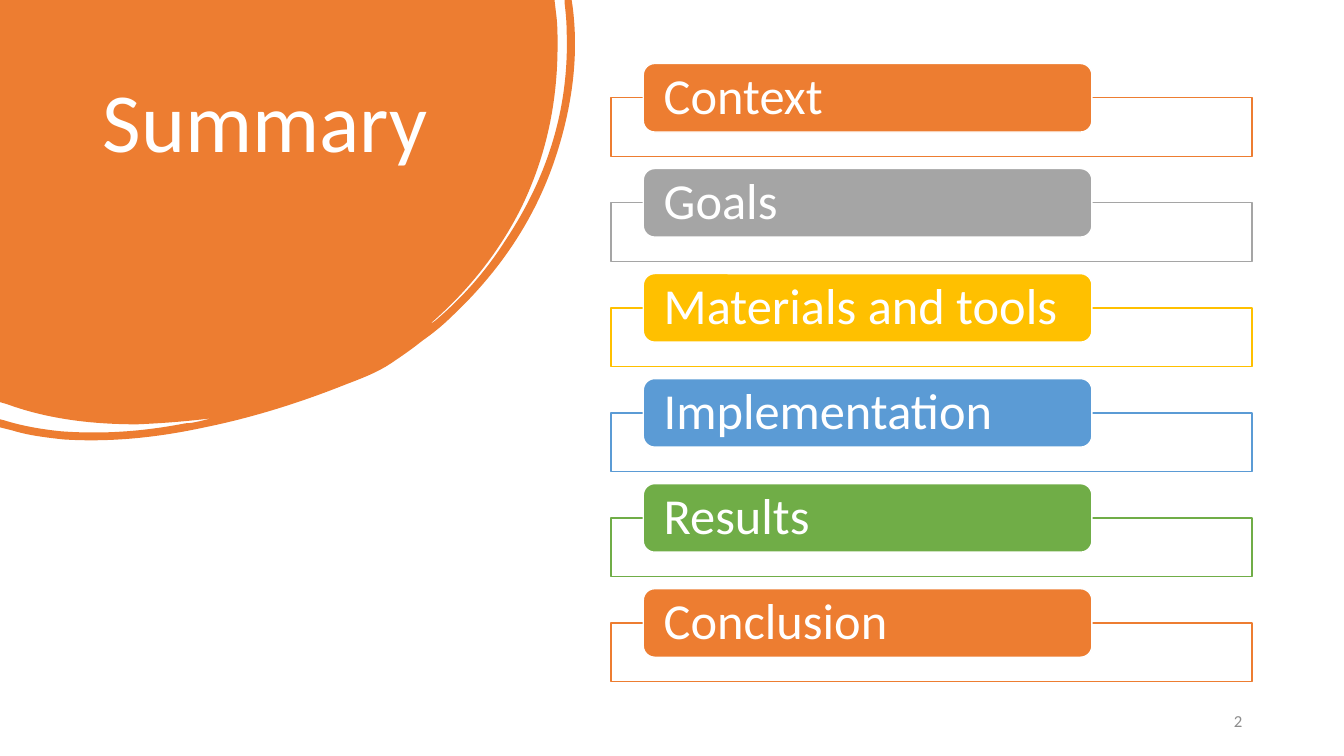
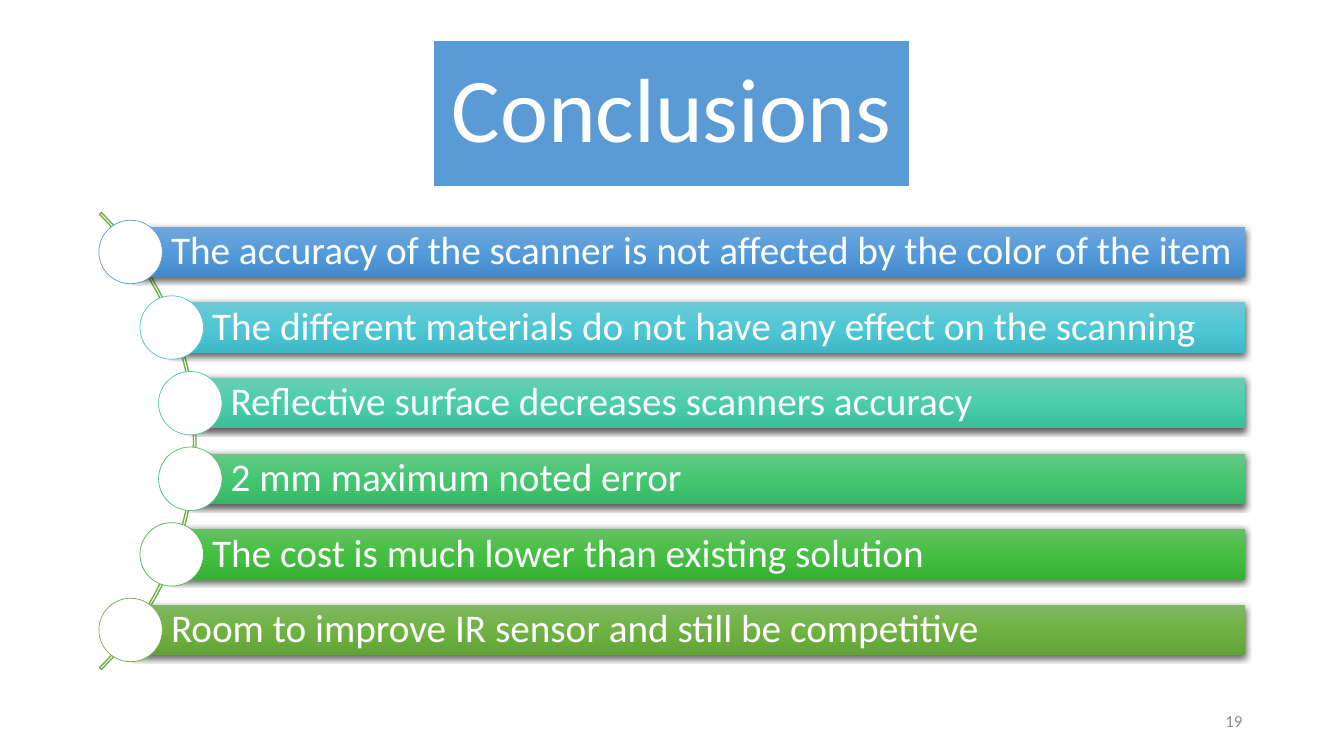
from copy import deepcopy
from math import sqrt
from lxml import etree
from pptx import Presentation
from pptx import util as u
from pptx.dml import color
from pptx.enum import shapes, text
from pptx.oxml import ns

WIDTH, HEIGHT = 13.33, 7.5
FONT = "Calibri"
WHITE, GREY = "FFFFFF", "8C8C8C"
ORANGE, SILVER, GOLD, BLUE, GREEN = "ED7D31", "A5A5A5", "FFC000", "5B9BD5", "70AD47"
LEFT, CENTER, RIGHT = text.PP_ALIGN.LEFT, text.PP_ALIGN.CENTER, text.PP_ALIGN.RIGHT
TOP, MIDDLE = text.MSO_ANCHOR.TOP, text.MSO_ANCHOR.MIDDLE
RECT, ROUND = shapes.MSO_SHAPE.RECTANGLE, shapes.MSO_SHAPE.ROUNDED_RECTANGLE
OVAL, ARC = shapes.MSO_SHAPE.OVAL, shapes.MSO_SHAPE.BLOCK_ARC

AGENDA = [
    ("Context", ORANGE),
    ("Goals", SILVER),
    ("Materials and tools", GOLD),
    ("Implementation", BLUE),
    ("Results", GREEN),
    ("Conclusion", ORANGE),
]
FINDINGS = [
    ("The accuracy of the scanner is not affected by the color of the item",
     ("71A6DB", "559BDB", "448ACA"), BLUE),
    ("The different materials do not have any effect on the scanning",
     ("6DCAD5", "4FC7D5", "3FB7C4"), "55C3CF"),
    ("Reflective surface decreases scanners accuracy",
     ("69CFB1", "4ACEAA", "3BBE9A"), "50C8A7"),
    ("2 mm maximum noted error",
     ("66C885", "45C772", "37B764"), "4BC174"),
    ("The cost is much lower than existing solution",
     ("64C162", "44BF41", "37B034"), "4ABA46"),
    ("Room to improve IR sensor and still be competitive",
     ("81B861", "6FB242", "62A336"), GREEN),
]
BRUSH = [
    (0, 0), (5.5, 0), (5.52, 0.17),
    (5.53, 0.26, 5.53, 0.36, 5.53, 0.45),
    (5.53, 1.01, 5.42, 1.54, 5.18, 2.04),
    (4.96, 2.49, 4.65, 2.88, 4.27, 3.21),
    (4.29, 3.21, 4.3, 3.19, 4.32, 3.18),
    (4.59, 2.95, 4.82, 2.69, 5.01, 2.39),
    (5.43, 1.76, 5.65, 1.07, 5.62, 0.3),
    (5.62, 0.21, 5.61, 0.12, 5.6, 0.03),
    (5.6, 0), (5.67, 0), (5.68, 0.07),
    (5.74, 0.54, 5.68, 1.02, 5.53, 1.5),
    (5.33, 2.14, 4.97, 2.68, 4.48, 3.14),
    (4.39, 3.23, 4.29, 3.31, 4.19, 3.38),
    (4.09, 3.46, 3.99, 3.53, 3.87, 3.61),
    (3.75, 3.69, 3.6, 3.75, 3.44, 3.81),
    (2.99, 3.99, 2.52, 4.14, 2.03, 4.24),
    (1.57, 4.34, 1.1, 4.39, 0.63, 4.36),
    (0.45, 4.34, 0.28, 4.32, 0.12, 4.27),
    (0, 4.24), (0, 4.16), (0.04, 4.17),
    (0.23, 4.23, 0.42, 4.26, 0.61, 4.28),
    (1.03, 4.31, 1.43, 4.28, 1.84, 4.2),
    (1.89, 4.2, 1.93, 4.19, 1.98, 4.18),
    (2.02, 4.17, 2.06, 4.16, 2.1, 4.15),
    (1.86, 4.18, 1.61, 4.2, 1.36, 4.21),
    (0.92, 4.21, 0.48, 4.16, 0.07, 4.01),
    (0, 3.99),
]


def rgb(value):
    return color.RGBColor.from_string(value)


def inches(*lengths):
    return [u.Inches(length) for length in lengths]


def write(box, words, size, ink=WHITE, align=LEFT, anchor=MIDDLE,
          insets=(0.1, 0.05, 0.1, 0.05), spacing=0.9):
    frame = box.text_frame
    frame.word_wrap = True
    frame.vertical_anchor = anchor
    (frame.margin_left, frame.margin_top,
     frame.margin_right, frame.margin_bottom) = inches(*insets)
    para = frame.paragraphs[0]
    para.alignment = align
    para.line_spacing = spacing
    span = para.add_run()
    span.text = words
    span.font.name = FONT
    span.font.size = u.Pt(size)
    span.font.color.rgb = rgb(ink)


def paint(shape, fill=None, line=None, weight=1):
    shape.shadow.inherit = False
    if fill:
        shape.fill.solid()
        shape.fill.fore_color.rgb = rgb(fill)
    else:
        shape.fill.background()
    if line:
        shape.line.color.rgb = rgb(line)
        shape.line.width = u.Pt(weight)
    else:
        shape.line.fill.background()
    return shape


def add(page, kind, place, fill=None, line=None, weight=1):
    return paint(page.shapes.add_shape(kind, *inches(*place)), fill, line, weight)


def shade(shape, tones):
    shape.fill.gradient()
    shape.fill.gradient_angle = 270
    stops = shape._element.spPr.find(".//" + ns.qn("a:gsLst"))
    stops.insert(1, deepcopy(stops[0]))
    for index, (stop, tone) in enumerate(zip(shape.fill.gradient_stops, tones)):
        stop.position = index / (len(tones) - 1)
        stop.color.rgb = rgb(tone)


def cast_shadow(shape):
    effects = shape._element.spPr.find(ns.qn("a:effectLst"))
    shadow = etree.SubElement(effects, ns.qn("a:outerShdw"), blurRad=str(u.Pt(4.5)),
                              dist=str(u.Pt(1.5)), dir="5400000", algn="ctr", rotWithShape="0")
    tone = etree.SubElement(shadow, ns.qn("a:srgbClr"), val="000000")
    etree.SubElement(tone, ns.qn("a:alpha"), val="63000")


def draw_outline(page, segments, fill, units=1000):
    scaled = [[round(length * units) for length in segment] for segment in segments]
    builder = page.shapes.build_freeform(*scaled[0], scale=u.Inches(1) / units)
    builder.add_line_segments([segment[-2:] for segment in scaled[1:]], close=True)
    shape = paint(builder.convert_to_shape(), fill)
    outline = shape._element.spPr.find(".//" + ns.qn("a:pathLst"))[0]
    for step, segment in zip(list(outline), scaled):
        if len(segment) == 6:
            curve = etree.Element(ns.qn("a:cubicBezTo"))
            for x, y in zip(segment[::2], segment[1::2]):
                etree.SubElement(curve, ns.qn("a:pt"), x=str(x), y=str(y))
            outline.replace(step, curve)


def new_page(deck, number):
    page = deck.slides.add_slide(deck.slide_layouts[6])
    box = page.shapes.add_textbox(*inches(9.42, 6.95, 3, 0.4))
    write(box, number, 12, GREY, RIGHT, spacing=1)
    return page


def summary(deck):
    page = new_page(deck, "2")
    draw_outline(page, BRUSH, ORANGE)
    title = page.shapes.add_textbox(*inches(0.92, 0.74, 3.52, 2.22))
    write(title, "Summary", 60, anchor=TOP)
    first, last = 0.63, 5.84
    pitch = (last - first) / (len(AGENDA) - 1)
    for row, (words, tone) in enumerate(AGENDA):
        top = first + row * pitch
        add(page, RECT, (6.06, top + 0.34, 6.36, 0.58), WHITE, tone)
        label = add(page, ROUND, (6.38, top, 4.45, 0.68), tone, WHITE)
        write(label, words, 36, insets=(0.17, 0, 0.17, 0))


def conclusions(deck):
    page = new_page(deck, "19")
    banner = add(page, RECT, (4.3, 0.4, 4.72, 1.45), BLUE, WHITE)
    write(banner, "Conclusions", 65, align=CENTER, insets=(0.1, 0.18, 0.1, 0.18))
    size, radius, middle_x, middle_y = 6.41, 3.17, -1.26, HEIGHT * 7 / 12
    arc = add(page, ARC, (middle_x - size / 2, middle_y - size / 2, size, size), line=GREEN)
    for index, value in enumerate((189, 27, 0.004)):
        arc.adjustments[index] = value
    pitch, bar, node, right = 0.75, 0.5, 0.63, 12.35
    for row, (words, tones, outline) in enumerate(FINDINGS):
        rise = (row - (len(FINDINGS) - 1) / 2) * pitch
        x, y = middle_x + sqrt(radius ** 2 - rise ** 2), middle_y + rise
        strip = add(page, RECT, (x, y - bar / 2, right - x, bar))
        shade(strip, tones)
        cast_shadow(strip)
        write(strip, words, 28, insets=(0.4, 0.08, 0.08, 0.08))
        add(page, OVAL, (x - node / 2, y - node / 2, node, node), WHITE, outline, 0.5)


def main():
    deck = Presentation()
    deck.slide_width, deck.slide_height = inches(WIDTH, HEIGHT)
    summary(deck)
    conclusions(deck)
    deck.save("out.pptx")


if __name__ == "__main__":
    main()
